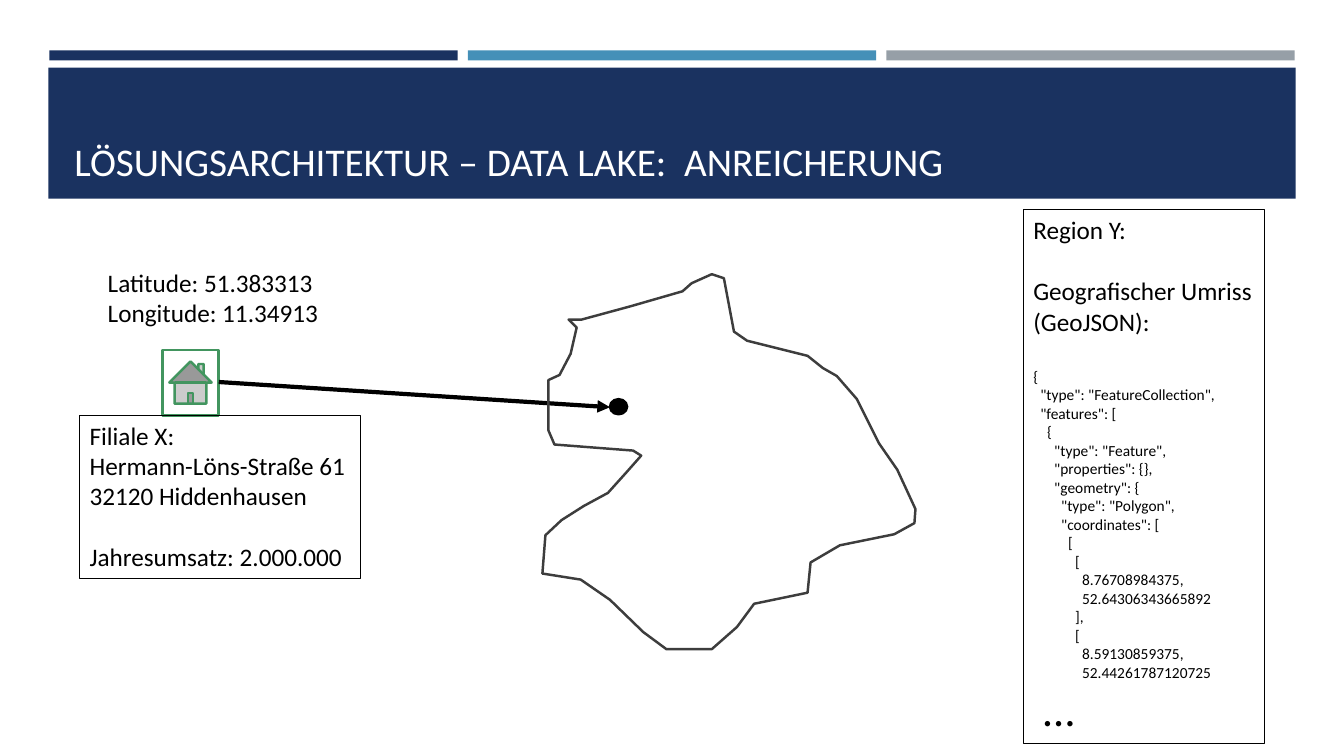
from lxml import etree
from pptx import Presentation
from pptx import util as u
from pptx.dml.color import RGBColor
from pptx.enum import shapes, text
from pptx.oxml.ns import qn

PX = 9144  # 100 px to the inch
NAVY, BLUE, GREY, GREEN = "1A3260", "4590B8", "969FA7", "42955F"
BLACK, WHITE, DARK = "000000", "FFFFFF", "3D3D3D"


def rgb(code):
    return RGBColor.from_string(code)


class Board:
    def __init__(self, deck, font):
        self.font = font
        self.slide = deck.slides.add_slide(deck.slide_layouts[6])
        self.items = self.slide.shapes

    def style(self, item, fill=None, line=None, width=1):
        item.shadow.inherit = False
        if fill:
            item.fill.solid()
            item.fill.fore_color.rgb = rgb(fill)
        else:
            item.fill.background()
        if line:
            item.line.color.rgb = rgb(line)
            item.line.width = u.Pt(width)
        else:
            item.line.fill.background()

    def shape(self, kind, box, **look):
        item = self.items.add_shape(kind, *[v * PX for v in box])
        self.style(item, **look)

    def label(self, box, lines, color=BLACK, line=None, wrap=False, low=False):
        """Each line is a text, then its size, space before and left indent in px."""
        item = self.items.add_textbox(*[v * PX for v in box])
        if line:
            item.line.color.rgb = rgb(line)
            item.line.width = u.Pt(0.75)
        frame = item.text_frame
        frame.word_wrap = wrap
        frame.vertical_anchor = text.MSO_ANCHOR.BOTTOM if low else text.MSO_ANCHOR.TOP
        for i, (words, *rest) in enumerate(lines):
            size, gap, inset = rest + [18, 0, 0][len(rest):]
            para = frame.add_paragraph() if i else frame.paragraphs[0]
            para.text = words
            para.alignment = text.PP_ALIGN.LEFT
            if gap:
                para.space_before = u.Pt(gap)
            if inset:
                para._p.get_or_add_pPr().set("marL", str(inset * PX))
            for run in para.runs:
                run.font.name = self.font
                run.font.size = u.Pt(size)
                run.font.color.rgb = rgb(color)

    def arrow(self, start, end, color, width):
        link = self.items.add_connector(
            shapes.MSO_CONNECTOR.STRAIGHT, *[v * PX for v in start + end])
        link.line.color.rgb = rgb(color)
        link.line.width = u.Pt(width)
        etree.SubElement(link.line._get_or_add_ln(), qn("a:tailEnd"), type="triangle")
        etree.SubElement(link._element.spPr, qn("a:effectLst"))

    def outline(self, points, color, width):
        pen = self.items.build_freeform(*points[0], scale=PX)
        pen.add_line_segments(points[1:], close=True)
        self.style(pen.convert_to_shape(), line=color, width=width)


# Region border, clockwise from the north-west corner
BORDER = [
    (577, 317), (625, 304), (677, 289), (686, 281), (706, 272), (718, 276),
    (728, 329), (741, 338), (801, 353), (816, 365), (830, 373), (850, 396),
    (872, 440), (890, 466), (908, 505), (907, 519), (887, 530), (833, 541),
    (804, 558), (801, 588), (748, 599), (731, 622), (706, 644), (661, 644),
    (638, 627), (605, 595), (576, 575), (538, 569), (541, 531), (557, 516),
    (579, 502), (603, 489), (621, 469), (636, 452), (628, 447), (550, 441),
    (544, 427), (544, 377), (555, 372), (566, 351), (572, 325), (564, 317),
]

CODE = """{
  "type": "FeatureCollection",
  "features": [
    {
      "type": "Feature",
      "properties": {},
      "geometry": {
        "type": "Polygon",
        "coordinates": [
          [
            [
              8.76708984375,
              52.64306343665892
            ],
            [
              8.59130859375,
              52.44261787120725""".split("\n")


def main():
    deck = Presentation()
    deck.slide_width, deck.slide_height = u.Inches(13.33), u.Inches(7.5)
    board = Board(deck, "Calibri")
    kinds = shapes.MSO_SHAPE

    # Header
    for i, color in enumerate((NAVY, BLUE, GREY)):
        board.shape(kinds.RECTANGLE, (49 + 415 * i, 50, 405, 10), fill=color)
    board.shape(kinds.RECTANGLE, (48, 67, 1237, 130), fill=NAVY)
    board.label((64, 77, 1206, 111),
                [("LÖSUNGSARCHITEKTUR – DATA LAKE:  ANREICHERUNG", 28)],
                color=WHITE, wrap=True, low=True)

    # Branch
    board.shape(kinds.ACTION_BUTTON_HOME, (161, 347, 56, 65),
                fill=WHITE, line=GREEN, width=1.75)
    board.label((79, 412, 279, 162), [
        ("Filiale X:",), ("Hermann-Löns-Straße 61",), ("32120 Hiddenhausen",),
        ("Jahresumsatz: 2.000.000", 18, 22)], line=BLACK)

    # Region description
    rows = [("Region Y:",), ("Geografischer Umriss", 18, 22), ("(GeoJSON):",)]
    rows += [(row, 11, 0 if i else 22) for i, row in enumerate(CODE)]
    rows.append(("…", 32, 0, 10))
    board.label((1015, 208, 239, 530), rows, line=BLACK)

    # Position of the branch inside the region
    board.arrow((217, 379), (605, 404), BLACK, 3)
    board.shape(kinds.OVAL, (605, 396, 17, 15), fill=BLACK, line=BLACK, width=1.75)
    board.outline(BORDER, DARK, 1.75)
    board.label((97, 260, 239, 71), [
        ("Latitude: 51.383313",), ("Longitude: 11.34913",)], wrap=True)

    deck.save("out.pptx")


if __name__ == "__main__":
    main()
